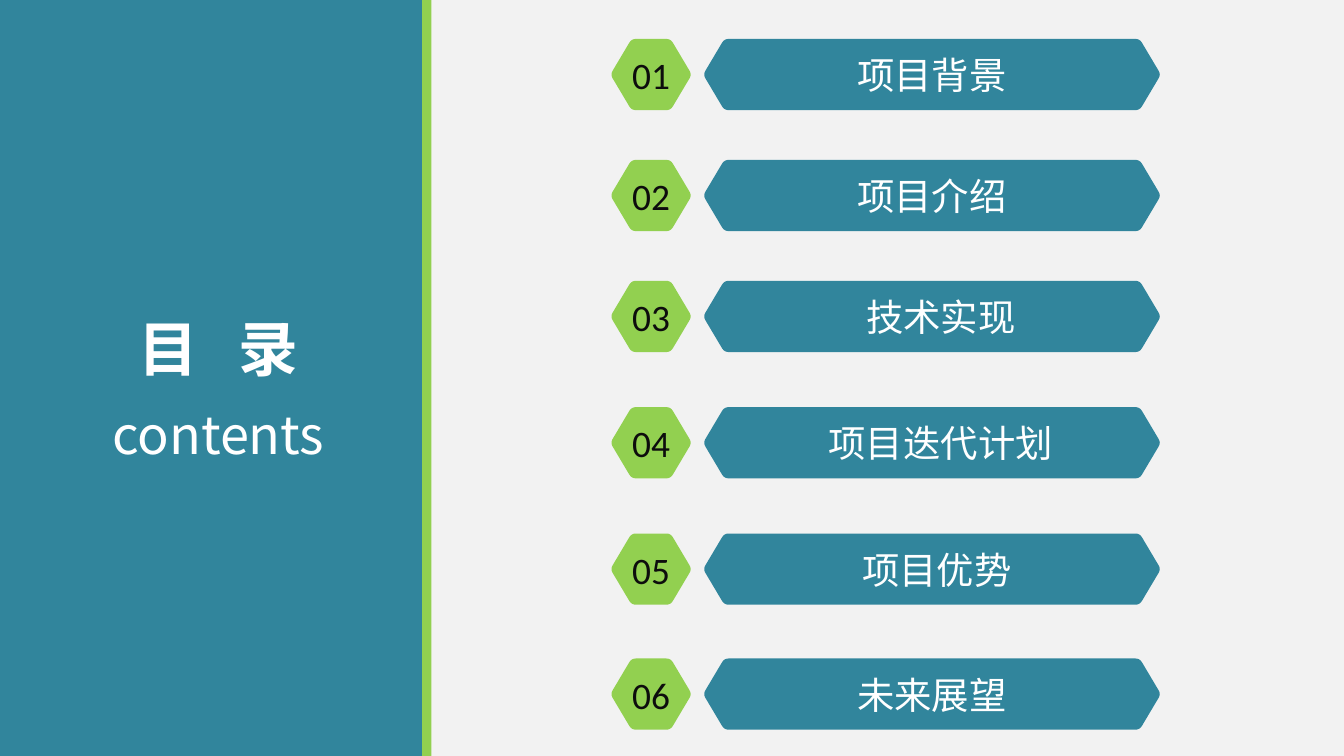
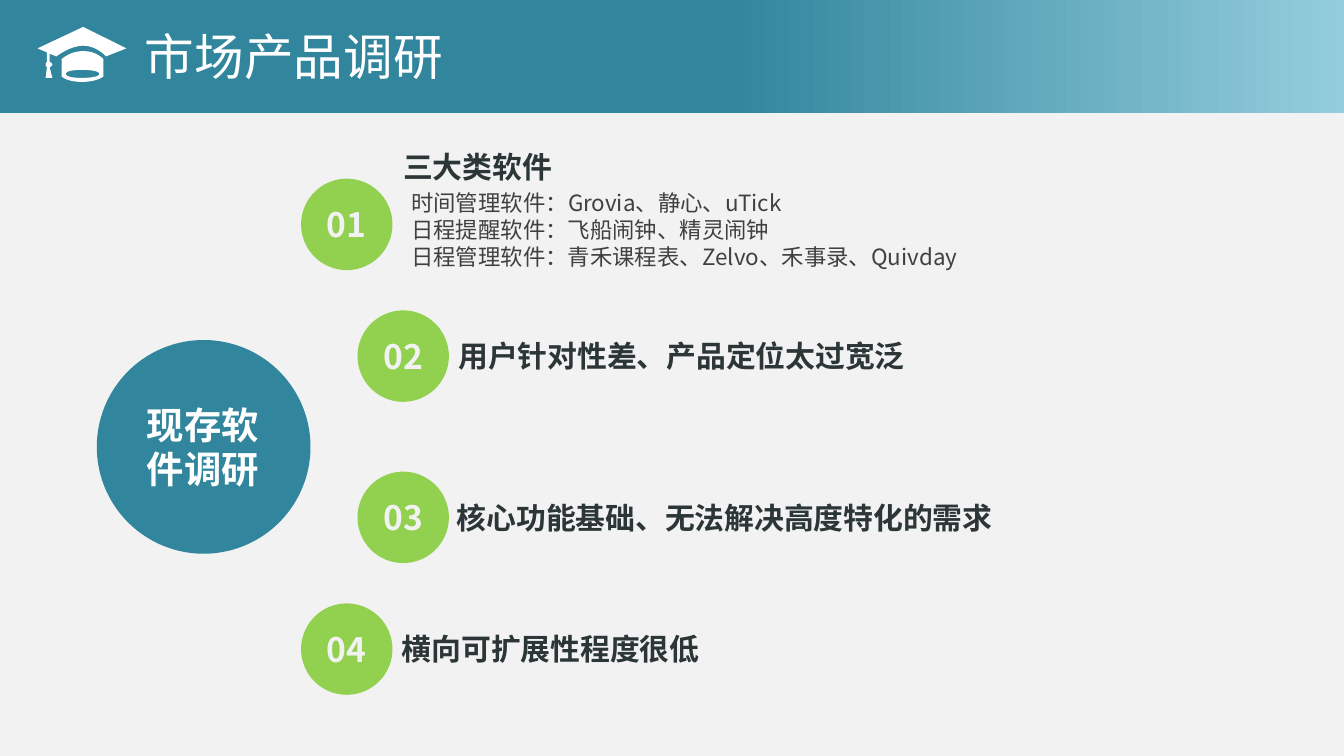
from dataclasses import dataclass
from math import comb
from typing import NamedTuple

from lxml import etree
from pptx import Presentation
from pptx import util as u
from pptx.dml.color import RGBColor
from pptx.enum import shapes, text
from pptx.oxml import ns

# Colours and fonts
TEAL = RGBColor(0x31, 0x85, 0x9C)
SKY = RGBColor(0x93, 0xCD, 0xDD)
LIME = RGBColor(0x92, 0xD0, 0x50)
MIST = RGBColor(0xF2, 0xF2, 0xF2)
WHITE = RGBColor(0xFF, 0xFF, 0xFF)
BLACK = RGBColor(0x0D, 0x0D, 0x0D)
SLATE = RGBColor(0x2C, 0x36, 0x37)
GRAY = RGBColor(0x40, 0x40, 0x40)
HAN = "Noto Sans CJK SC"
LATIN = "Calibri"

# The slide is a grid of square cells
COLS, ROWS = 100, 56.25
CELL = u.Inches(0.1)

OVAL = shapes.MSO_SHAPE.OVAL
RECT = shapes.MSO_SHAPE.RECTANGLE
LEFT = text.PP_ALIGN.LEFT
MID = text.PP_ALIGN.CENTER


class Box(NamedTuple):
    left: float
    top: float
    wide: float
    tall: float


class Pad(NamedTuple):
    side: float
    edge: float


class Style(NamedTuple):
    size: float
    color: RGBColor
    bold: bool = False
    align: int = LEFT
    face: str = HAN
    space: float | None = None


@dataclass
class Entry:
    label: str
    top: float
    shift: float = 0  # extra left inset of the label


@dataclass
class Point:
    label: str
    ball: tuple[float, float]
    head: Box


WIDE, SLIM, NONE = Pad(1, 0.5), Pad(0.7, 0.4), Pad(0, 0.5)

ENTRIES = [
    Entry("项目背景", 2.9),
    Entry("项目介绍", 11.9),
    Entry("技术实现", 20.9, 1.3),
    Entry("项目迭代计划", 30.3, 1.3),
    Entry("项目优势", 39.7, 0.7),
    Entry("未来展望", 49),
]
POINTS = [
    Point("三大类软件", (22.4, 13.3), Box(29.3, 10.7, 22.7, 3.4)),
    Point("用户针对性差、产品定位太过宽泛", (26.6, 23.1), Box(33.4, 24.7, 35.4, 3.4)),
    Point("核心功能基础、无法解决高度特化的需求", (26.6, 35.1), Box(33.3, 36.8, 44.3, 3.4)),
    Point("横向可扩展性程度很低", (22.4, 44.9), Box(29.2, 46.5, 27.7, 3.4)),
]
KINDS = [
    "时间管理软件：Grovia、静心、uTick",
    "日程提醒软件：飞船闹钟、精灵闹钟",
    "日程管理软件：青禾课程表、Zelvo、禾事录、Quivday",
]

# Graduation cap: each node holds its control points and then its end
CAP = [
    [
        (7.9, 4.2), (7.9, 4.2, 7.2, 3.4, 6.2, 3.4), (5.2, 3.4, 4.2, 4.2, 4.2, 4.2),
        (3.7, 4), (3.7, 4.6), (3.9, 4.7, 3.9, 4.8), (3.9, 4.9, 3.7, 5),
        (3.9, 5.8), (3.4, 5.8), (3.5, 5), (3.4, 4.9, 3.4, 4.8),
        (3.4, 4.7, 3.5, 4.6), (3.5, 3.9), (2.8, 3.6), (6.2, 2), (9.4, 3.6),
    ],
    [
        (6.2, 3.8), (7.2, 3.8, 7.7, 4.4, 7.7, 4.4), (7.7, 5.7),
        (7.7, 5.7, 7.2, 6.1, 6.1, 6.1), (5, 6.1, 4.6, 5.7, 4.6, 5.7),
        (4.6, 4.4), (4.6, 4.4, 5.2, 3.8, 6.2, 3.8),
    ],
    [
        (6.1, 5.8), (6.8, 5.8, 7.4, 5.7, 7.4, 5.5), (7.4, 5.3, 6.8, 5.2, 6.1, 5.2),
        (5.4, 5.2, 4.9, 5.3, 4.9, 5.5), (4.9, 5.7, 5.4, 5.8, 6.1, 5.8),
    ],
]


def cells(count: float) -> int:
    return round(count * CELL)


def paint(shape, color: RGBColor) -> None:
    shape.shadow.inherit = False
    shape.fill.solid()
    shape.fill.fore_color.rgb = color
    shape.line.fill.background()


def form(slide, kind, box: Box, color: RGBColor):
    shape = slide.shapes.add_shape(kind, *map(cells, box))
    paint(shape, color)
    return shape


def dress(para, style: Style) -> None:
    para.alignment = style.align
    para.line_spacing = style.space
    font = para.font
    font.size, font.bold, font.name = u.Pt(style.size), style.bold, style.face
    font.color.rgb = style.color
    # East Asian typeface follows the Latin one
    latin = para._p.pPr.find(ns.qn("a:defRPr")).find(ns.qn("a:latin"))
    asian = etree.Element(ns.qn("a:ea"), typeface=style.face)
    latin.addnext(asian)


def write(shape, lines: list[str], styles: list[Style], pad: Pad = WIDE) -> None:
    frame = shape.text_frame
    frame.word_wrap = True
    frame.margin_left = frame.margin_right = cells(pad.side)
    frame.margin_top = frame.margin_bottom = cells(pad.edge)
    frame.vertical_anchor = text.MSO_ANCHOR.MIDDLE
    for num, line in enumerate(lines):
        para = frame.add_paragraph() if num else frame.paragraphs[0]
        para.text = line
        dress(para, styles[min(num, len(styles) - 1)])


def note(slide, box: Box, lines: list[str], styles: list[Style], pad: Pad = WIDE):
    shape = slide.shapes.add_textbox(*map(cells, box))
    write(shape, lines, styles, pad)
    shape.text_frame.vertical_anchor = text.MSO_ANCHOR.TOP
    shape.text_frame.auto_size = text.MSO_AUTO_SIZE.SHAPE_TO_FIT_TEXT
    return shape


def trace(nodes: list[tuple], steps: int = 8) -> list[tuple[int, int]]:
    """Turn nodes into points, sampling each Bezier curve."""
    dots = [nodes[0][-2:]]
    for node in nodes[1:]:
        ctrl = [dots[-1], *zip(node[::2], node[1::2])]
        deg = len(ctrl) - 1
        count = steps if deg > 1 else 1
        for step in range(1, count + 1):
            t = step / count
            mix = [comb(deg, k) * t**k * (1 - t) ** (deg - k) for k in range(deg + 1)]
            dots.append(tuple(sum(m * c[axis] for m, c in zip(mix, ctrl)) for axis in (0, 1)))
    return [(cells(x), cells(y)) for x, y in dots]


def draw(slide, loops: list[list[tuple]], color: RGBColor):
    first, *rest = map(trace, loops)
    pen = slide.shapes.build_freeform(*first[0], scale=1.0)
    pen.add_line_segments(first[1:], close=True)
    for loop in rest:
        pen.move_to(*loop[0])
        pen.add_line_segments(loop[1:], close=True)
    shape = pen.convert_to_shape()
    paint(shape, color)
    return shape


def hexa(slide, box: Box, color: RGBColor, slant: float = 1.5, cut: float = 0.33):
    """Hexagon with rounded corners."""
    left, top, wide, tall = box
    right, low, half = left + wide, top + tall, top + tall / 2
    tips = [
        (left + slant, top), (right - slant, top), (right + 0.08, half),
        (right - slant, low), (left + slant, low), (left - 0.08, half),
    ]

    def near(a: tuple, b: tuple) -> tuple:
        span = ((b[0] - a[0]) ** 2 + (b[1] - a[1]) ** 2) ** 0.5
        return tuple(p + (q - p) * cut / span for p, q in zip(a, b))

    nodes = []
    for num, tip in enumerate(tips):
        nodes.append(near(tip, tips[num - 1]))
        nodes.append((*tip, *near(tip, tips[(num + 1) % 6])))
    return draw(slide, [nodes], color)


def contents(slide) -> None:
    # Side panel with its lime edge
    form(slide, RECT, Box(1, 0, 31.1, ROWS), LIME)
    form(slide, RECT, Box(0, 0, 31.4, ROWS), TEAL)
    title = Style(32, WHITE, True, MID, space=1.3)
    under = Style(28, WHITE, False, MID, space=1.3)
    panel = note(slide, Box(2.2, 21.1, 28.1, 14.1), ["目 ", "contents"], [title, under])
    para = panel.text_frame.paragraphs[0]
    para.runs[0]._r.get_or_add_rPr().set("spc", "700")
    para.add_run().text = "录"

    # Numbered entries
    digit = Style(20, BLACK, align=MID, face=LATIN)
    label = Style(20, WHITE, align=MID)
    for num, entry in enumerate(ENTRIES, 1):
        badge = hexa(slide, Box(45.5, entry.top, 5.9, 5.3), LIME)
        write(badge, [f"{num:02}"], [digit])
        bar = hexa(slide, Box(52.4, entry.top, 33.9, 5.3), TEAL)
        write(bar, [entry.label], [label])
        bar.text_frame.margin_left = cells(WIDE.side + entry.shift)


def survey(slide) -> None:
    # Title band
    band = form(slide, RECT, Box(0, 0, COLS, 8.4), TEAL)
    band.fill.gradient()
    band.fill.gradient_angle = 180
    for stop, color, place in zip(band.fill.gradient_stops, (SKY, TEAL), (0, 0.46)):
        stop.color.rgb, stop.position = color, place
    note(slide, Box(9.8, 1.4, 42.2, 5.5), ["市场产品调研"], [Style(26.6, WHITE)])
    draw(slide, CAP, WHITE)

    # Hub
    form(slide, OVAL, Box(7.2, 25.3, 15.9, 15.9), TEAL)
    note(slide, Box(8.8, 29.4, 12.6, 7.7), ["现存软件调研"], [Style(20, WHITE, True, MID)])

    # Numbered findings
    for num, point in enumerate(POINTS, 1):
        ball = form(slide, OVAL, Box(*point.ball, 6.8, 6.8), LIME)
        write(ball, [f"{num:02}"], [Style(18, MIST, True, MID)], NONE)
        note(slide, point.head, [point.label], [Style(16, SLATE, True)], SLIM)
    note(slide, Box(29.9, 13.7, 60.3, 6.8), KINDS, [Style(12, GRAY)], SLIM)


def main() -> None:
    deck = Presentation()
    deck.slide_width, deck.slide_height = cells(COLS), cells(ROWS)
    ground = deck.slide_master.background.fill
    ground.solid()
    ground.fore_color.rgb = MIST
    for build in (contents, survey):
        build(deck.slides.add_slide(deck.slide_layouts[6]))
    deck.save("out.pptx")


if __name__ == "__main__":
    main()
